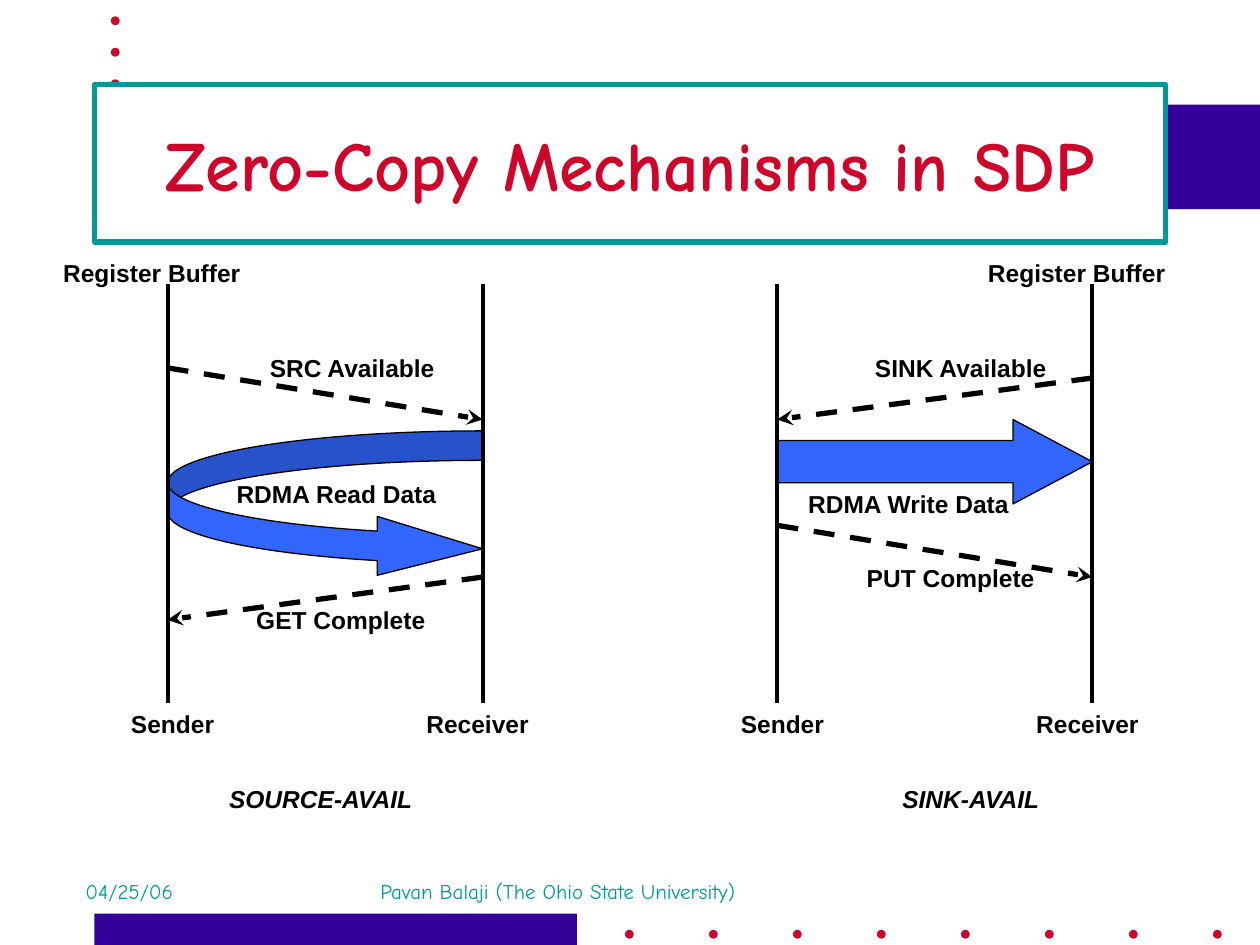
from dataclasses import dataclass
from typing import Any

from lxml.etree import SubElement
from pptx import Presentation
from pptx.dml.color import RGBColor
from pptx.enum.dml import MSO_LINE
from pptx.enum.shapes import MSO_CONNECTOR, MSO_SHAPE
from pptx.enum.text import MSO_ANCHOR, PP_ALIGN
from pptx.oxml.ns import qn
from pptx.util import Inches, Pt

COLORS = {
    "purple": "330099",
    "red": "CD052B",
    "teal": "009999",
    "blue": "3366FF",
    "black": "000000",
    "white": "FFFFFF",
}


def color(name):
    """Return the named palette colour."""
    return RGBColor.from_string(COLORS[name])


@dataclass
class SlideBuilder:
    """Hold the style and the current slide."""

    page: Any
    label_font: str = "Arial"
    display_font: str = "Comic Neue"
    label_size: float = 14
    label_height: float = 0.33
    dot_size: float = 0.07

    def shape(self, kind, left, top, width, height, fill, line=None, weight=0.75, adjustments=()):
        """Add a flat preset shape."""
        shape = self.page.shapes.add_shape(
            kind, Inches(left), Inches(top), Inches(width), Inches(height))
        shape.shadow.inherit = False
        shape.fill.solid()
        shape.fill.fore_color.rgb = color(fill)
        if line:
            shape.line.color.rgb = color(line)
            shape.line.width = Pt(weight)
        else:
            shape.line.fill.background()
        for index, value in enumerate(adjustments):
            shape.adjustments[index] = value
        return shape

    def dot(self, left, top):
        """Add a small decorative dot."""
        self.shape(MSO_SHAPE.OVAL, left, top, self.dot_size, self.dot_size, "red")

    def add_span(self, para, text, font, size, ink, bold=False, italic=False):
        """Add one styled run to a paragraph."""
        span = para.add_run()
        span.text = text
        span.font.name = font
        span.font.size = Pt(size)
        span.font.bold = bold
        span.font.italic = italic
        span.font.color.rgb = color(ink)

    def text_box(self, left, top, width, height):
        """Add a wrapping text box and return its first paragraph."""
        box = self.page.shapes.add_textbox(
            Inches(left), Inches(top), Inches(width), Inches(height))
        box.text_frame.word_wrap = True
        return box.text_frame.paragraphs[0]

    def title(self, text):
        """Add the framed slide title."""
        box = self.shape(MSO_SHAPE.RECTANGLE, 0.75, 0.67, 8.5, 1.25, "white", "teal", 3)
        box.text_frame.word_wrap = True
        box.text_frame.vertical_anchor = MSO_ANCHOR.MIDDLE
        para = box.text_frame.paragraphs[0]
        para.alignment = PP_ALIGN.CENTER
        self.add_span(para, text, self.display_font, 40, "red", bold=True)

    def footer(self, text, left, width):
        """Add a footer text."""
        para = self.text_box(left, 6.92, width, 0.42)
        self.add_span(para, text, self.display_font, 12, "teal")

    def label(self, text, left, top, width=1.75, italic=False):
        """Add a centred bold diagram label."""
        para = self.text_box(left, top, width, self.label_height)
        para.alignment = PP_ALIGN.CENTER
        self.add_span(para, text, self.label_font, self.label_size, "black", True, italic)

    def line(self, start, end, weight=2.25):
        """Add a straight black line."""
        line = self.page.shapes.add_connector(
            MSO_CONNECTOR.STRAIGHT, *(Inches(value) for value in (*start, *end)))
        line.line.color.rgb = color("black")
        line.line.width = Pt(weight)
        SubElement(line._element.spPr, qn("a:effectLst"))
        return line

    def message(self, start, end):
        """Add a dashed arrow for a control message."""
        arrow = self.line(start, end, 3)
        arrow.line.dash_style = MSO_LINE.DASH
        SubElement(arrow.line._get_or_add_ln(), qn("a:tailEnd"), type="stealth")

    def lifelines(self, sender, receiver):
        """Add the sender and receiver lines with their names."""
        for name, x, offset in (("Sender", sender, 0.5), ("Receiver", receiver, 0.58)):
            self.line((x, 2.25), (x, 5.58))
            self.label(name, x - offset, 5.58, 1.08)


def add_decoration(slide):
    """Add the bars and dots behind the content."""
    slide.shape(MSO_SHAPE.RECTANGLE, 0.75, 7.25, 3.83, 0.25, "purple")
    for index in range(8):
        slide.dot(4.96 + index * 2 / 3, 7.38)
    slide.shape(MSO_SHAPE.RECTANGLE, 0.83, 0.83, 9.17, 0.83, "purple")
    for index in range(3):
        slide.dot(0.88, 0.13 + index * 0.25)


def add_source_avail(slide, sender, receiver):
    """Add the diagram in which the receiver reads the data."""
    slide.message((sender, 2.92), (receiver, 3.33))
    slide.shape(MSO_SHAPE.CURVED_RIGHT_ARROW, sender, 3.42, receiver - sender, 1.17,
                "blue", "black", adjustments=(0.2, 0.4, 0.714))
    slide.message((receiver, 4.58), (sender, 4.92))
    slide.label("Register Buffer", 0.33, 2)
    slide.label("SRC Available", 1.92, 2.75)
    slide.label("RDMA Read Data", 1.67, 3.75, 2)
    slide.label("GET Complete", 1.83, 4.75)
    slide.label("SOURCE-AVAIL", 0.67, 6.17, 3.75, italic=True)
    slide.lifelines(sender, receiver)


def add_sink_avail(slide, sender, receiver):
    """Add the diagram in which the sender writes the data."""
    slide.message((receiver, 3), (sender, 3.33))
    slide.message((sender, 4.17), (receiver, 4.58))
    slide.shape(MSO_SHAPE.RIGHT_ARROW, sender, 3.33, receiver - sender, 0.67,
                "blue", "black", adjustments=(0.5, 0.94))
    slide.label("Register Buffer", 7.67, 2)
    slide.label("SINK Available", 6.75, 2.75)
    slide.label("RDMA Write Data", 6.25, 3.83, 1.92)
    slide.label("PUT Complete", 6.67, 4.42)
    slide.label("SINK-AVAIL", 5.83, 6.17, 3.75, italic=True)
    slide.lifelines(sender, receiver)


def main():
    """Build and save the deck."""
    deck = Presentation()
    deck.slide_width = Inches(10)
    deck.slide_height = Inches(7.5)
    slide = SlideBuilder(deck.slides.add_slide(deck.slide_layouts[6]))
    add_decoration(slide)
    slide.footer("04/25/06", 0.58, 2.08)
    slide.footer("Pavan Balaji (The Ohio State University)", 2.92, 4.17)
    slide.title("Zero-Copy Mechanisms in SDP")
    add_source_avail(slide, 1.33, 3.83)
    add_sink_avail(slide, 6.17, 8.67)
    deck.save("out.pptx")


if __name__ == "__main__":
    main()
